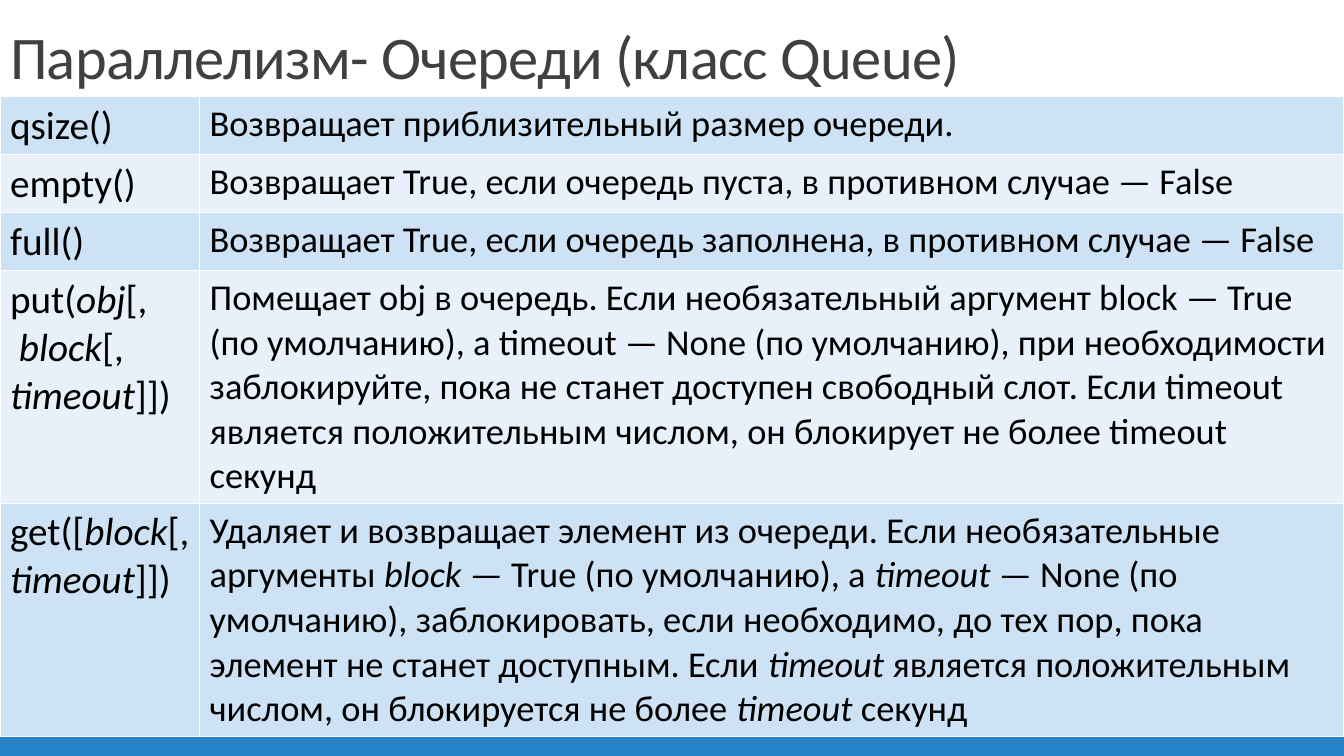
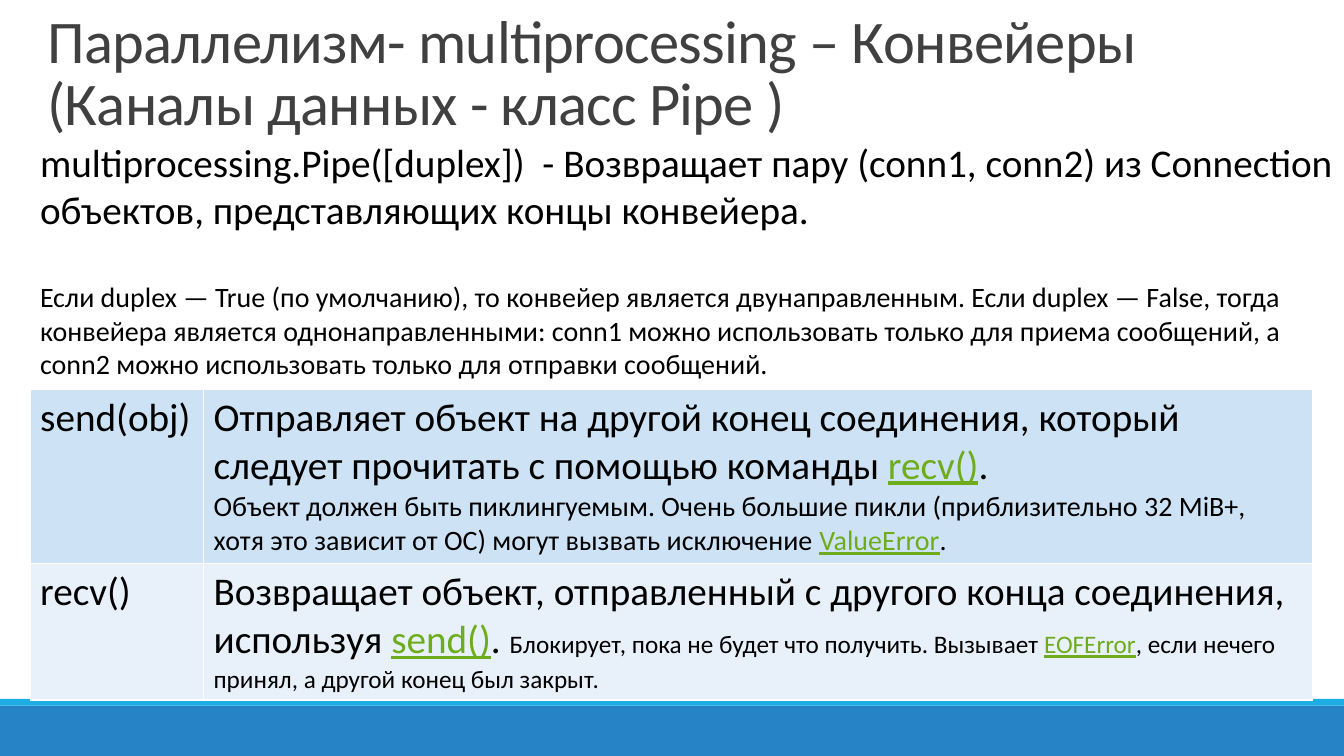
from lxml.etree import SubElement
from pptx import Presentation
from pptx.dml.color import RGBColor
from pptx.enum.shapes import MSO_SHAPE
from pptx.enum.text import MSO_ANCHOR, MSO_AUTO_SIZE, PP_ALIGN
from pptx.oxml.ns import qn
from pptx.util import Cm, Pt

FONT = "Calibri"
COLORS = {
    "title": "404040",
    "text": "000000",
    "link": "6EAC1C",
    "band": "2683C6",
    "stripe": "1CADE4",
    "row_dark": "CDE3F5",
    "row_light": "E8F1FA",
    "border": "FFFFFF",
}
WIDTH, HEIGHT = 33.87, 19.05
BAND_HEIGHT, STRIPE_HEIGHT = 1.27, 0.17
TITLE_SIZE = 43.2


def rgb(name):
    return RGBColor.from_string(COLORS[name])


def italic(font):
    font.italic = True


def link(font):
    font.underline = True
    font.color.rgb = rgb("link")


class Deck:
    """Holds the presentation, its shared style and the current slide."""

    def __init__(self):
        self.prs = Presentation()
        self.prs.slide_width, self.prs.slide_height = Cm(WIDTH), Cm(HEIGHT)
        self.layout = self.prs.slide_layouts[5]
        self.slide = None

    def new_slide(self, title, left, top, width, height):
        first = self.slide is None
        self.slide = self.prs.slides.add_slide(self.layout)
        if first:
            band_top = HEIGHT - BAND_HEIGHT
            self.layout_band("stripe", band_top - STRIPE_HEIGHT, STRIPE_HEIGHT)
            self.layout_band("band", band_top, BAND_HEIGHT)
        self.title(title, left, top, width, height)

    def layout_band(self, color, top, height):
        """Draws a full-width band and moves it to the shared layout."""
        band = self.slide.shapes.add_shape(
            MSO_SHAPE.RECTANGLE, 0, Cm(top), Cm(WIDTH), Cm(height))
        band.shadow.inherit = False
        band.fill.solid()
        band.fill.fore_color.rgb = rgb(color)
        band.line.fill.background()
        self.layout.element.cSld.spTree.insert(2, band.element)

    def title(self, text, left, top, width, height):
        title = self.slide.shapes.title
        title.left, title.top = Cm(left), Cm(top)
        title.width, title.height = Cm(width), Cm(height)
        frame = title.text_frame
        frame.text = text
        frame.word_wrap = True
        frame.auto_size = MSO_AUTO_SIZE.NONE
        frame.vertical_anchor = MSO_ANCHOR.BOTTOM
        paragraph = frame.paragraphs[0]
        paragraph.alignment = PP_ALIGN.LEFT
        paragraph.line_spacing = 0.85
        self.format_font(paragraph.runs[0].font, TITLE_SIZE, "title")
        for properties in title.element.iter(qn("a:rPr")):
            properties.set("spc", "-50")

    def format_font(self, font, size, color="text"):
        font.name = FONT
        font.size = Pt(size)
        font.color.rgb = rgb(color)

    def add_paragraphs(self, frame, paragraphs, emphasis=None):
        """Each paragraph is a list of (size, text); _marks_ enclose emphasis."""
        for index, parts in enumerate(paragraphs):
            paragraph = frame.add_paragraph() if index else frame.paragraphs[0]
            for size, marked in parts:
                for position, piece in enumerate(marked.split("_")):
                    if not piece:
                        continue
                    run = paragraph.add_run()
                    run.text = piece
                    self.format_font(run.font, size)
                    if position % 2:
                        emphasis(run.font)

    def text(self, paragraphs, left, top, width, height, gap):
        box = self.slide.shapes.add_textbox(
            Cm(left), Cm(top), Cm(width), Cm(height))
        frame = box.text_frame
        frame.word_wrap = True
        self.add_paragraphs(frame, paragraphs)
        for paragraph in frame.paragraphs[1:]:
            paragraph.space_before = Pt(gap)

    def table(self, rows, left, top, col_widths, row_heights, emphasis):
        table = self.slide.shapes.add_table(
            len(rows), len(col_widths), Cm(left), Cm(top),
            Cm(sum(col_widths)), Cm(sum(row_heights))).table
        table.first_row = table.horz_banding = False
        for column, width in zip(table.columns, col_widths):
            column.width = Cm(width)
        for index, (row, height) in enumerate(zip(table.rows, row_heights)):
            row.height = Cm(height)
            for cell, paragraphs in zip(row.cells, rows[index]):
                self.add_paragraphs(cell.text_frame, paragraphs, emphasis)
                self.border(cell)
                cell.fill.solid()
                cell.fill.fore_color.rgb = rgb(
                    "row_light" if index % 2 else "row_dark")

    def border(self, cell):
        properties = cell._tc.get_or_add_tcPr()
        for side in ("lnL", "lnR", "lnT", "lnB"):
            line = SubElement(properties, qn(f"a:{side}"), w=str(Pt(1)))
            fill = SubElement(line, qn("a:solidFill"))
            SubElement(fill, qn("a:srgbClr"), val=COLORS["border"])


QUEUE_METHODS = [
    (["qsize()"], "Возвращает приблизительный размер очереди."),
    (["empty()"],
     "Возвращает True, если очередь пуста, в противном случае — False"),
    (["full()"],
     "Возвращает True, если очередь заполнена, в противном случае — False"),
    (["put(_obj_[,", " _block_[, ", "_timeout_]])"],
     "Помещает obj в очередь. Если необязательный аргумент block — True "
     "(по умолчанию), а timeout — None (по умолчанию), при необходимости "
     "заблокируйте, пока не станет доступен свободный слот. Если timeout "
     "является положительным числом, он блокирует не более timeout секунд"),
    (["get([_block_[, _timeout_]])"],
     "Удаляет и возвращает элемент из очереди. Если необязательные "
     "аргументы _block_ — True (по умолчанию), а _timeout_ — None (по "
     "умолчанию), заблокировать, если необходимо, до тех пор, пока элемент "
     "не станет доступным. Если _timeout_ является положительным числом, "
     "он блокируется не более _timeout_ секунд"),
]

PIPE_INTRO = [
    [(28, "multiprocessing.Pipe([duplex])  - Возвращает пару (conn1, conn2) "
          "из Connection объектов, представляющих концы конвейера.")],
    [(20, "Если duplex — True (по умолчанию), то конвейер является "
          "двунаправленным. Если duplex — False, тогда конвейера является "
          "однонаправленными: conn1 можно использовать только для приема "
          "сообщений, а conn2 можно использовать только для отправки "
          "сообщений.")],
]

PIPE_METHODS = [
    ([[(28, "send(obj)")]],
     [[(28, "Отправляет объект на другой конец соединения, который следует "
            "прочитать с помощью команды _recv()_.")],
      [(20, "Объект должен быть пиклингуемым. Очень большие пикли "
            "(приблизительно 32 MiB+, хотя это зависит от ОС) могут вызвать "
            "исключение _ValueError_.")]]),
    ([[(28, "recv()")]],
     [[(28, "Возвращает объект, отправленный с другого конца соединения, "
            "используя _send()_. "),
       (18, "Блокирует, пока не будет что получить. Вызывает _EOFError_, "
            "если нечего принял, а другой конец был закрыт.")]]),
]


def main():
    deck = Deck()

    deck.new_slide("Параллелизм- Очереди (класс Queue)", 0, 0.48, WIDTH, 1.96)
    queue_rows = [
        ([[(28, line)] for line in signature], [[(26, description)]])
        for signature, description in QUEUE_METHODS
    ]
    deck.table(queue_rows, 0, 2.44, [5.03, 28.83],
               [1.46] * 3 + [5.85] * 2, italic)

    deck.new_slide("Параллелизм- multiprocessing – Конвейеры "
                   "(Каналы данных - класс Pipe )", 0.94, 0, 32.8, 3.6)
    deck.table(PIPE_METHODS, 0.76, 9.8, [4.37, 27.94], [4.38, 3.4], link)
    deck.text(PIPE_INTRO, 0.76, 3.35, 33.15, 6.4, gap=34)

    deck.prs.save("out.pptx")


if __name__ == "__main__":
    main()
